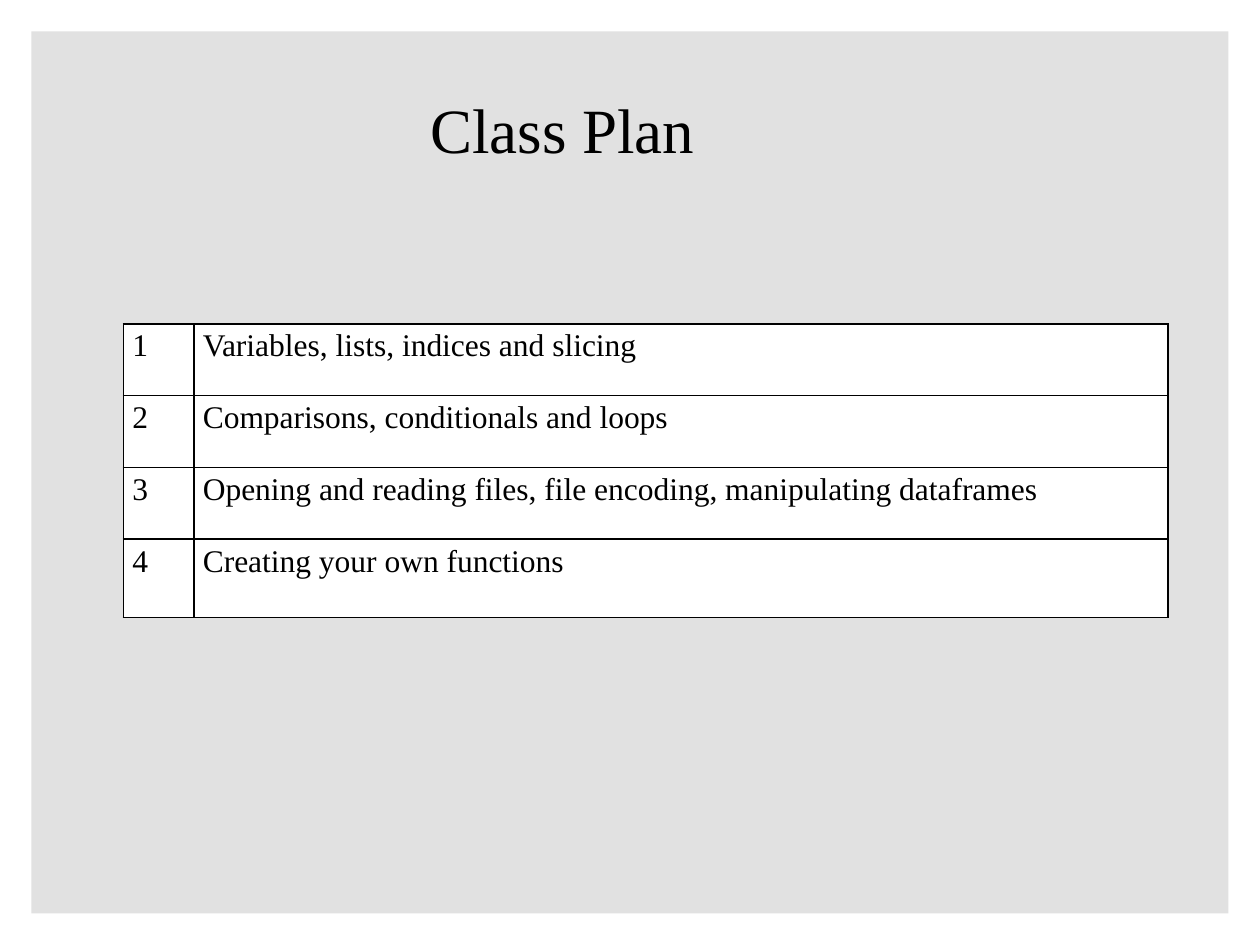
"""Build the class plan slide."""
from dataclasses import dataclass

from lxml import etree
from pptx import Presentation
from pptx import util as u
from pptx.dml.color import RGBColor
from pptx.enum import shapes, text
from pptx.oxml import ns


@dataclass(frozen=True)
class Theme:
    font: str = "Times New Roman"
    ink: str = "000000"
    panel: str = "E1E1E1"
    paper: str = "FFFFFF"
    title_size: int = 36
    body_size: int = 18
    border_width: int = 1


@dataclass(frozen=True)
class Session:
    number: int
    topic: str
    height: float = 0.57


THEME = Theme()
SESSIONS = (
    Session(1, "Variables, lists, indices and slicing"),
    Session(2, "Comparisons, conditionals and loops"),
    Session(3, "Opening and reading files, file encoding, manipulating dataframes"),
    Session(4, "Creating your own functions", 0.62),
)
COLUMN_WIDTHS = (0.56, 7.73)
CELL_FORMAT = {
    "margin_left": u.Inches(0.07),
    "margin_right": u.Inches(0.07),
    "margin_top": u.Inches(0.04),
    "margin_bottom": u.Inches(0.04),
    "vertical_anchor": text.MSO_ANCHOR.TOP,
}
TITLE_FORMAT = {"word_wrap": True, "vertical_anchor": text.MSO_ANCHOR.MIDDLE}


def apply_format(target, values: dict) -> None:
    for name, value in values.items():
        setattr(target, name, value)


def write(frame, wording: str, size: int, align: text.PP_ALIGN) -> None:
    paragraph = frame.paragraphs[0]
    paragraph.alignment = align
    run = paragraph.add_run()
    run.text = wording
    apply_format(run.font, {"name": THEME.font, "size": u.Pt(size)})
    run.font.color.rgb = RGBColor.from_string(THEME.ink)


def fill(target, color: str) -> None:
    target.fill.solid()
    target.fill.fore_color.rgb = RGBColor.from_string(color)


def draw_borders(cell) -> None:
    properties = cell._tc.get_or_add_tcPr()
    for position, side in enumerate(("lnL", "lnR", "lnT", "lnB")):
        border = etree.Element(ns.qn(f"a:{side}"), w=str(u.Pt(THEME.border_width)))
        stroke = etree.SubElement(border, ns.qn("a:solidFill"))
        etree.SubElement(stroke, ns.qn("a:srgbClr"), val=THEME.ink)
        properties.insert(position, border)


def draw_panel(slide) -> None:
    panel = slide.shapes.add_shape(
        shapes.MSO_SHAPE.RECTANGLE,
        u.Inches(0.25), u.Inches(0.25), u.Inches(9.5), u.Inches(7),
    )
    panel.shadow.inherit = False
    panel.line.fill.background()
    fill(panel, THEME.panel)


def draw_title(slide) -> None:
    title = slide.shapes.add_textbox(
        u.Inches(0.51), u.Inches(0.48), u.Inches(7.91), u.Inches(1.07)
    )
    apply_format(title.text_frame, TITLE_FORMAT)
    write(title.text_frame, "Class Plan", THEME.title_size, text.PP_ALIGN.CENTER)


def draw_plan(slide, sessions: tuple[Session, ...]) -> None:
    plan = slide.shapes.add_table(
        len(sessions), len(COLUMN_WIDTHS), u.Inches(0.98), u.Inches(2.57),
        u.Inches(sum(COLUMN_WIDTHS)), u.Inches(sum(s.height for s in sessions)),
    ).table
    apply_format(plan, {"first_row": False, "horz_banding": False})
    for column, width in zip(plan.columns, COLUMN_WIDTHS):
        column.width = u.Inches(width)
    for row, session in zip(plan.rows, sessions):
        row.height = u.Inches(session.height)
        for cell, wording in zip(row.cells, (str(session.number), session.topic)):
            apply_format(cell, CELL_FORMAT)
            fill(cell, THEME.paper)
            draw_borders(cell)
            write(cell.text_frame, wording, THEME.body_size, text.PP_ALIGN.LEFT)


def main() -> None:
    deck = Presentation()
    apply_format(deck, {"slide_width": u.Inches(10), "slide_height": u.Inches(7.5)})
    slide = deck.slides.add_slide(deck.slide_layouts[6])
    fill(slide.background, THEME.paper)
    draw_panel(slide)
    draw_title(slide)
    draw_plan(slide, SESSIONS)
    deck.save("out.pptx")


if __name__ == "__main__":
    main()
